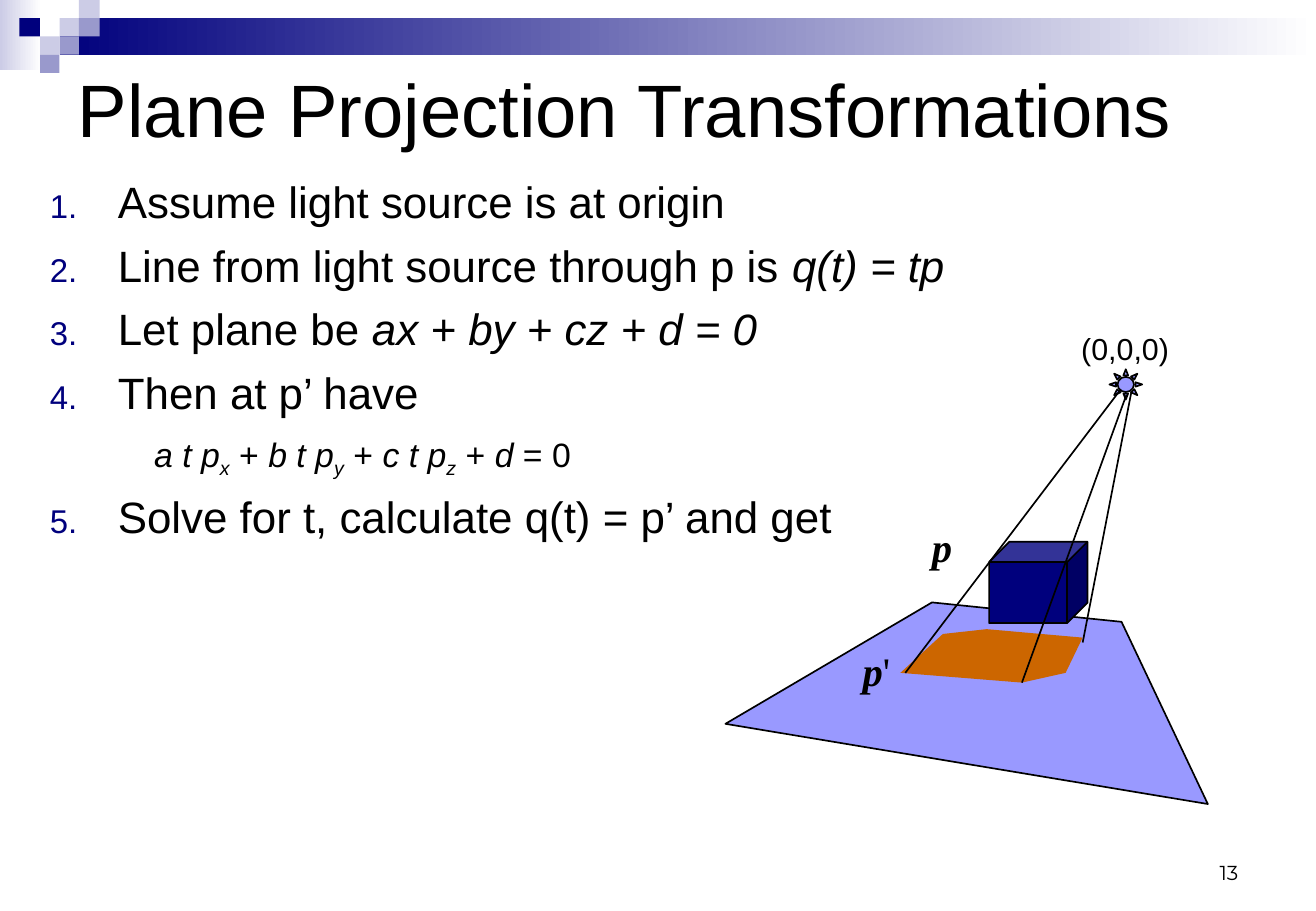
from lxml import etree
from pptx import Presentation
from pptx.dml.color import RGBColor
from pptx.enum.shapes import MSO_CONNECTOR, MSO_SHAPE
from pptx.enum.text import MSO_ANCHOR, MSO_AUTO_SIZE, PP_ALIGN
from pptx.oxml.ns import qn
from pptx.util import Pt

RECT, CUBE, SUN = MSO_SHAPE.RECTANGLE, MSO_SHAPE.CUBE, MSO_SHAPE.SUN
STRAIGHT = MSO_CONNECTOR.STRAIGHT
TOP, MIDDLE, BOTTOM = MSO_ANCHOR.TOP, MSO_ANCHOR.MIDDLE, MSO_ANCHOR.BOTTOM
LEFT, RIGHT = PP_ALIGN.LEFT, PP_ALIGN.RIGHT
NO_FIT = MSO_AUTO_SIZE.NONE
PX = 9144
NAVY, PALE, LILAC, SKY = "00007D", "CCCCE6", "9999CC", "9999FF"
BLACK, WHITE, ORANGE = "000000", "FFFFFF", "CC6600"
color = RGBColor.from_string


def paint(shape, fill, outlined=False):
    shape.shadow.inherit = False
    shape.fill.solid()
    shape.fill.fore_color.rgb = color(fill)
    if outlined:
        shape.line.color.rgb = color(BLACK)
        shape.line.width = Pt(1)
    else:
        shape.line.fill.background()


def write(paragraph, runs, font, size):
    for text, extra in runs:
        run = paragraph.add_run()
        run.text = text
        run.font.color.rgb = color(BLACK)
        for key, value in {"name": font, "size": Pt(size), **extra}.items():
            if key == "baseline":
                run._r.get_or_add_rPr().set(key, value)
            else:
                setattr(run.font, key, value)


prs = Presentation()
prs.slide_width, prs.slide_height = 1083 * PX, 750 * PX
slide = prs.slides.add_slide(prs.slide_layouts[1])
shapes = slide.shapes

for x, y, w, h, start in [(0, 0, 34, 58, PALE), (49, 15, 1034, 30, NAVY)]:
    band = shapes.add_shape(RECT, x * PX, y * PX, w * PX, h * PX)
    paint(band, WHITE)
    band.fill.gradient()
    band.fill.gradient_angle = 0
    for stop, shade in zip(band.fill.gradient_stops, (start, WHITE)):
        stop.color.rgb = color(shade)

columns = [0, 16, 33, 49, 65, 82]
mosaic = [(3, 1, PALE), (4, 0, PALE), (4, 1, LILAC), (2, 2, PALE),
          (1, 1, NAVY), (3, 2, LILAC), (2, 3, LILAC)]
for column, row, shade in mosaic:
    x, right = columns[column:column + 2]
    tile = shapes.add_shape(RECT, x * PX, row * 15 * PX, (right - x) * PX, 15 * PX)
    paint(tile, shade)

title, steps = shapes.title, slide.placeholders[1]
for holder, (x, y, w, h), anchor in [(title, (54, 50, 975, 78), MIDDLE),
                                     (steps, (31, 139, 1021, 562), TOP)]:
    place = {"left": x * PX, "top": y * PX, "width": w * PX, "height": h * PX}
    for key, value in place.items():
        setattr(holder, key, value)
    for key, value in {"auto_size": NO_FIT, "word_wrap": True, "vertical_anchor": anchor}.items():
        setattr(holder.text_frame, key, value)

heading = title.text_frame.paragraphs[0]
heading.alignment = LEFT
write(heading, [("Plane Projection Transformations", {})], "Arial", 44)

italic = {"italic": True}
step_list = [
    (2.4, [("Assume light source is at origin", {})]),
    (6.4, [("Line from light source through p is ", {}), ("q(t) = tp", italic)]),
    (6.4, [("Let plane be ", {}), ("ax + by + cz + d = 0", italic)]),
    (6.4, [("Then at p’ have", {})]),
    (42.8, [("Solve for t, calculate q(t) = p’ and get", {})]),
]
for number, (gap, runs) in enumerate(step_list):
    frame = steps.text_frame
    step = frame.add_paragraph() if number else frame.paragraphs[0]
    step.space_before = Pt(gap)
    write(step, runs, "Arial", 26)
    pPr = step._p.get_or_add_pPr()
    for key, value in {"marL": 56 * PX, "indent": -56 * PX}.items():
        pPr.set(key, str(value))
    bullet_color = etree.SubElement(pPr, qn("a:buClr"))
    etree.SubElement(bullet_color, qn("a:srgbClr"), val=NAVY)
    etree.SubElement(pPr, qn("a:buSzPct"), val="75000")
    etree.SubElement(pPr, qn("a:buFont"), typeface="Arial")
    etree.SubElement(pPr, qn("a:buAutoNum"), type="arabicPeriod")

outlines = [
    (SKY, True, [(597, 596), (767, 496), (923, 512), (994, 662)]),
    (ORANGE, False, [(741, 554), (841, 562), (877, 554), (891, 525), (812, 518), (776, 522)]),
]
for fill, outlined, points in outlines:
    builder = shapes.build_freeform(*points[0], scale=PX)
    builder.add_line_segments(points[1:], close=True)
    paint(builder.convert_to_shape(), fill, outlined)

for kind, (x, y, w, h), fill in [(CUBE, (814, 446, 81, 67), NAVY),
                                 (SUN, (913, 304, 27, 25), SKY)]:
    solid = shapes.add_shape(kind, x * PX, y * PX, w * PX, h * PX)
    solid.adjustments[0] = 0.25
    paint(solid, fill, True)

for ends in [(931, 323, 891, 529), (927, 325, 841, 562), (922, 321, 745, 554)]:
    ray = shapes.add_connector(STRAIGHT, *[end * PX for end in ends])
    ray.line.color.rgb = color(BLACK)
    ray.line.width = Pt(1)
    etree.SubElement(ray._element.spPr, qn("a:effectLst"))

bold_italic = {"bold": True, "italic": True}
equation = []
for coefficient, axis in zip("abc", "xyz"):
    equation += [(f"{coefficient} t p", italic),
                 (axis, {"italic": True, "baseline": "-25000"}), (" + ", {})]
equation += [("d", italic), (" = 0", {})]

labels = [
    ((757, 425, 40, 50), [("p", bold_italic)], "Times New Roman", 24, False, TOP, LEFT),
    ((700, 527, 46, 50), [("p", bold_italic), ("'", {})], "Times New Roman", 24, False, TOP, LEFT),
    ((880, 267, 93, 40), [("(0,0,0)", {})], "Arial", 18, False, TOP, LEFT),
    ((117, 352, 538, 74), equation, "Arial", 20, True, TOP, LEFT),
    ((776, 683, 253, 50), [("13", {})], "Montserrat", 12, True, BOTTOM, RIGHT),
]
for (x, y, w, h), runs, font, size, wrap, anchor, alignment in labels:
    label = shapes.add_textbox(x * PX, y * PX, w * PX, h * PX)
    for key, value in {"word_wrap": wrap, "vertical_anchor": anchor}.items():
        setattr(label.text_frame, key, value)
    line = label.text_frame.paragraphs[0]
    line.alignment = alignment
    write(line, runs, font, size)

prs.save("out.pptx")
